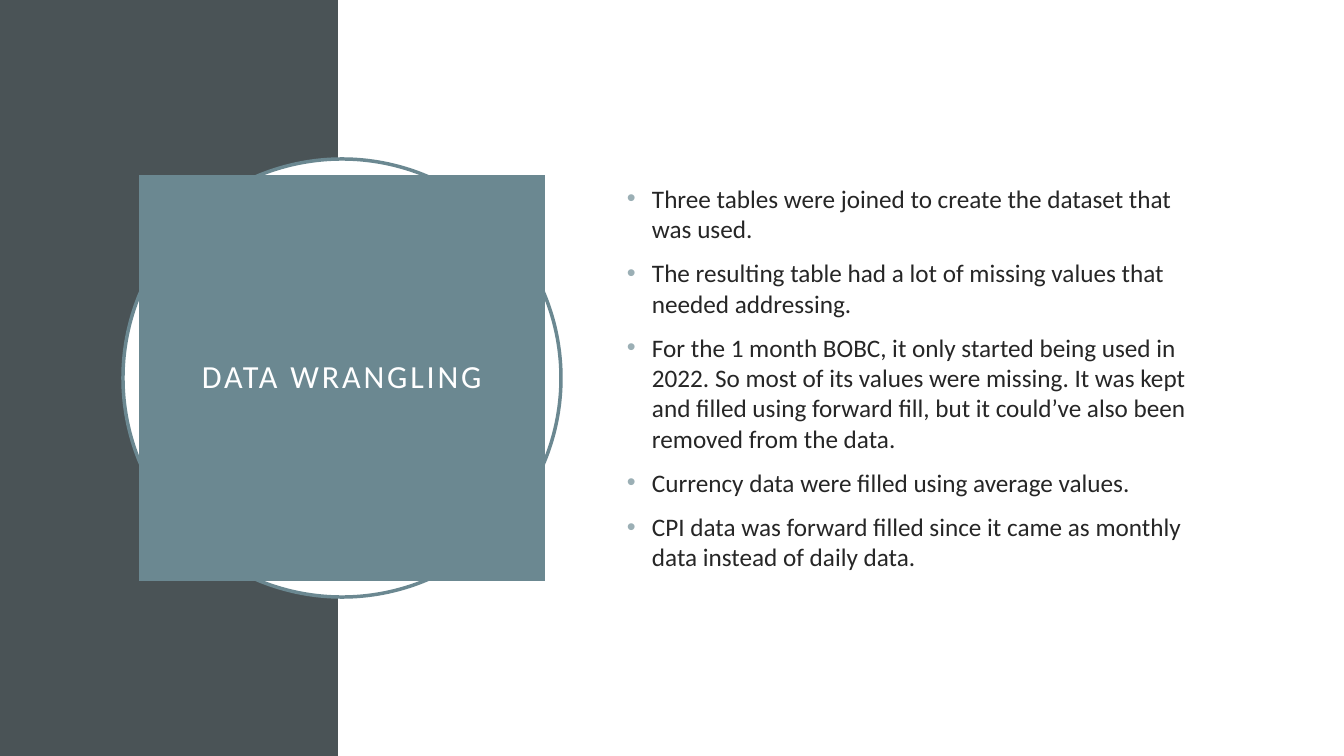
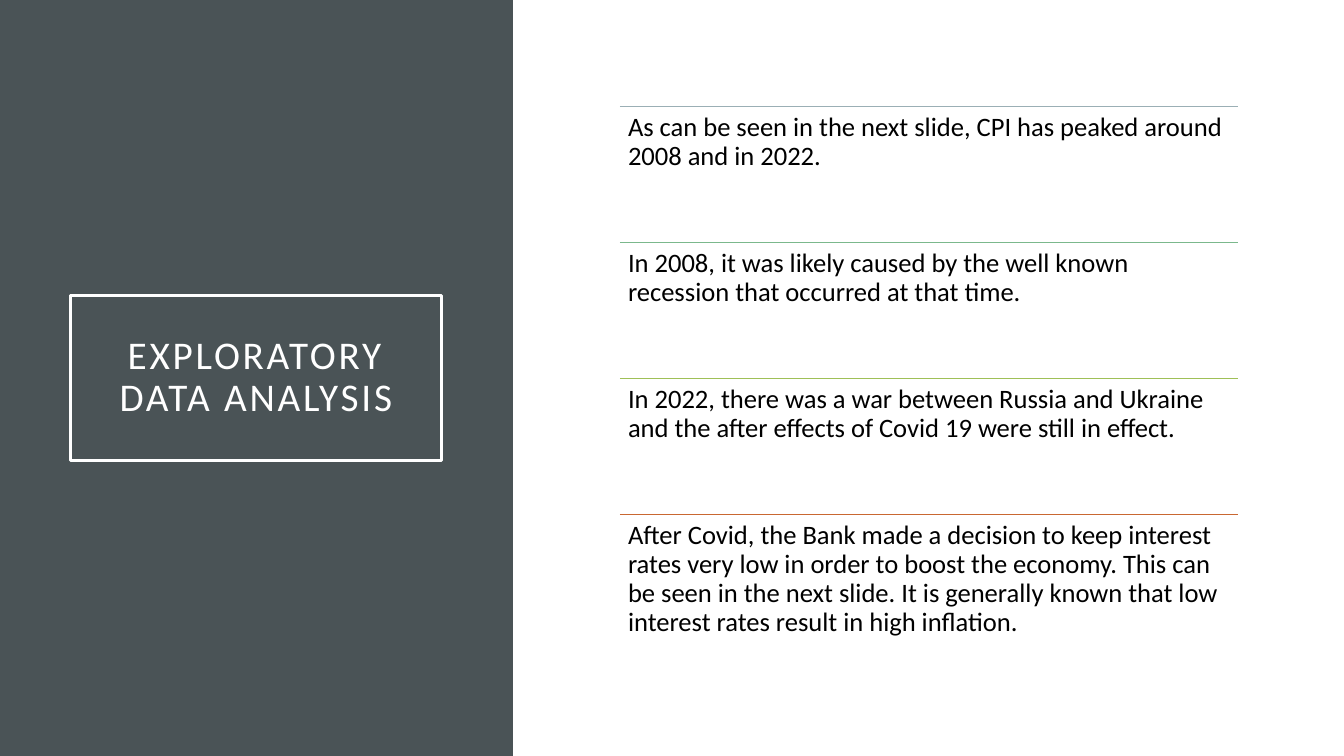
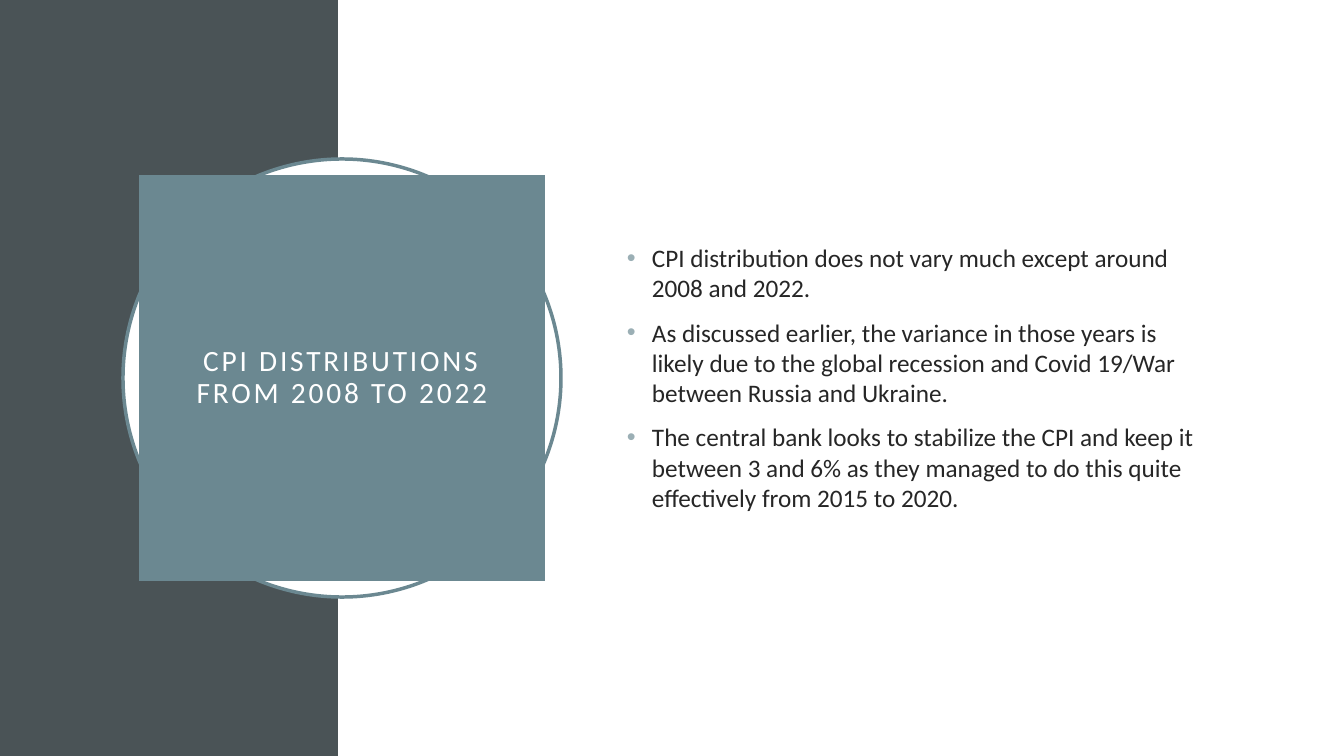
from lxml import etree
from pptx import Presentation
from pptx.dml.color import RGBColor
from pptx.enum.shapes import MSO_CONNECTOR, MSO_SHAPE
from pptx.enum.text import MSO_ANCHOR, PP_ALIGN
from pptx.oxml.ns import qn
from pptx.util import Emu, Pt

# Content
BULLET_SLIDES = {
    "wrangling": ("DATA WRANGLING", 23, [
        "Three tables were joined to create the dataset that was used.",
        "The resulting table had a lot of missing values that needed addressing.",
        "For the 1 month BOBC, it only started being used in 2022. So most of its "
        "values were missing. It was kept and filled using forward fill, but it "
        "could’ve also been removed from the data.",
        "Currency data were filled using average values.",
        "CPI data was forward filled since it came as monthly data instead of daily data.",
    ]),
    "distributions": ("CPI DISTRIBUTIONS FROM 2008 TO 2022", 21, [
        "CPI distribution does not vary much except around 2008 and 2022.",
        "As discussed earlier, the variance in those years is likely due to the "
        "global recession and Covid 19/War between Russia and Ukraine.",
        "The central bank looks to stabilize the CPI and keep it between 3 and 6% "
        "as they managed to do this quite effectively from 2015 to 2020.",
    ]),
}

# Style
FONT = "Calibri"
SLATE = RGBColor(0x4A, 0x53, 0x56)
TEAL = RGBColor(0x6B, 0x88, 0x91)
MIST = RGBColor(0x9B, 0xAF, 0xB5)
GREEN = RGBColor(0x7B, 0xB8, 0x8C)
LIME = RGBColor(0x9F, 0xC0, 0x57)
RUST = RGBColor(0xC9, 0x67, 0x31)
WHITE = RGBColor(0xFF, 0xFF, 0xFF)
BLACK = RGBColor(0, 0, 0)
INK = RGBColor(0x26, 0x26, 0x26)

FINDINGS = [
    (MIST, "As can be seen in the next slide, CPI has peaked around 2008 and in 2022."),
    (GREEN, "In 2008, it was likely caused by the well known recession that occurred "
            "at that time."),
    (LIME, "In 2022, there was a war between Russia and Ukraine and the after effects "
           "of Covid 19 were still in effect."),
    (RUST, "After Covid, the Bank made a decision to keep interest rates very low in "
           "order to boost the economy. This can be seen in the next slide. It is "
           "generally known that low interest rates result in high inflation."),
]

# Geometry in px
W, H = 1344, 756
CENTER_X, CENTER_Y = 342, 378
SCALE = 914400 / 100.8


def px(n):
    return Emu(round(n * SCALE))


def add_bullet(p, color):
    pPr = p._p.get_or_add_pPr()
    pPr.set("marL", str(px(25)))
    pPr.set("indent", str(-px(25)))
    clr = etree.SubElement(pPr, qn("a:buClr"))
    etree.SubElement(clr, qn("a:srgbClr")).set("val", str(color))
    etree.SubElement(pPr, qn("a:buFont")).set("typeface", "Arial")
    etree.SubElement(pPr, qn("a:buChar")).set("char", "•")


def write(sp, *paragraphs, size, color, align=PP_ALIGN.LEFT, anchor=MSO_ANCHOR.TOP,
          inset=(10, 5), line=1.0, before=0, tracking=0, bullet=None):
    tf = sp.text_frame
    tf.word_wrap = True
    tf.vertical_anchor = anchor
    tf.margin_left = tf.margin_right = px(inset[0])
    tf.margin_top = tf.margin_bottom = px(inset[1])
    for i, text in enumerate(paragraphs):
        p = tf.paragraphs[0] if i == 0 else tf.add_paragraph()
        p.alignment = align
        p.line_spacing = line
        p.space_before = Pt(before)
        if bullet is not None:
            add_bullet(p, bullet)
        r = p.add_run()
        r.text = text
        r.font.name = FONT
        r.font.size = Pt(size)
        r.font.color.rgb = color
        if tracking:
            r._r.get_or_add_rPr().set("spc", str(tracking * 100))


def add_box(slide, kind, x, y, w, h, fill=None, line=None):
    sp = slide.shapes.add_shape(kind, px(x), px(y), px(w), px(h))
    sp.shadow.inherit = False
    if fill is None:
        sp.fill.background()
    else:
        sp.fill.solid()
        sp.fill.fore_color.rgb = fill
    if line is None:
        sp.line.fill.background()
    else:
        sp.line.color.rgb = line
        sp.line.width = Pt(2.5)
    return sp


def add_centered(slide, kind, cx, w, h, **colors):
    return add_box(slide, kind, cx - w / 2, CENTER_Y - h / 2, w, h, **colors)


def add_text(slide, x, y, w, h, *paragraphs, **fmt):
    sp = slide.shapes.add_textbox(px(x), px(y), px(w), px(h))
    write(sp, *paragraphs, **fmt)


def add_rule(slide, x, y, w, color):
    c = slide.shapes.add_connector(MSO_CONNECTOR.STRAIGHT, px(x), px(y), px(x + w), px(y))
    c.line.color.rgb = color
    c.line.width = Pt(0.5)
    etree.SubElement(c._element.spPr, qn("a:effectLst"))


def new_slide(prs, band_width):
    slide = prs.slides.add_slide(prs.slide_layouts[6])
    add_box(slide, MSO_SHAPE.RECTANGLE, 0, 0, band_width, H, fill=SLATE)
    return slide


def write_title(sp, title, size):
    write(sp, title, size=size, color=WHITE, align=PP_ALIGN.CENTER,
          anchor=MSO_ANCHOR.MIDDLE, inset=(24, 20), line=0.9, tracking=2)


def bullet_slide(prs, title, size, bullets):
    slide = new_slide(prs, 338)
    add_centered(slide, MSO_SHAPE.OVAL, CENTER_X, 438, 438, fill=WHITE, line=TEAL)
    sp = add_centered(slide, MSO_SHAPE.RECTANGLE, CENTER_X, 406, 406, fill=TEAL)
    write_title(sp, title, size)
    add_text(slide, 617, 154, 587, 447, *bullets, size=18, color=INK,
             anchor=MSO_ANCHOR.MIDDLE, before=10, bullet=MIST)


def findings_slide(prs):
    slide = new_slide(prs, 513)
    sp = add_centered(slide, MSO_SHAPE.RECTANGLE, 256, 371, 165, line=WHITE)
    write_title(sp, "EXPLORATORY DATA ANALYSIS", 28)
    x, top, w, row_h = 620, 106, 618, 136
    for i, (color, text) in enumerate(FINDINGS):
        y = top + i * row_h
        add_rule(slide, x, y, w, color)
        add_text(slide, x, y, w, row_h, text, size=19, color=BLACK,
                 inset=(8, 8), line=0.9)


def main():
    prs = Presentation()
    prs.slide_width, prs.slide_height = px(W), px(H)
    bullet_slide(prs, *BULLET_SLIDES["wrangling"])
    findings_slide(prs)
    bullet_slide(prs, *BULLET_SLIDES["distributions"])
    prs.save("out.pptx")


if __name__ == "__main__":
    main()
